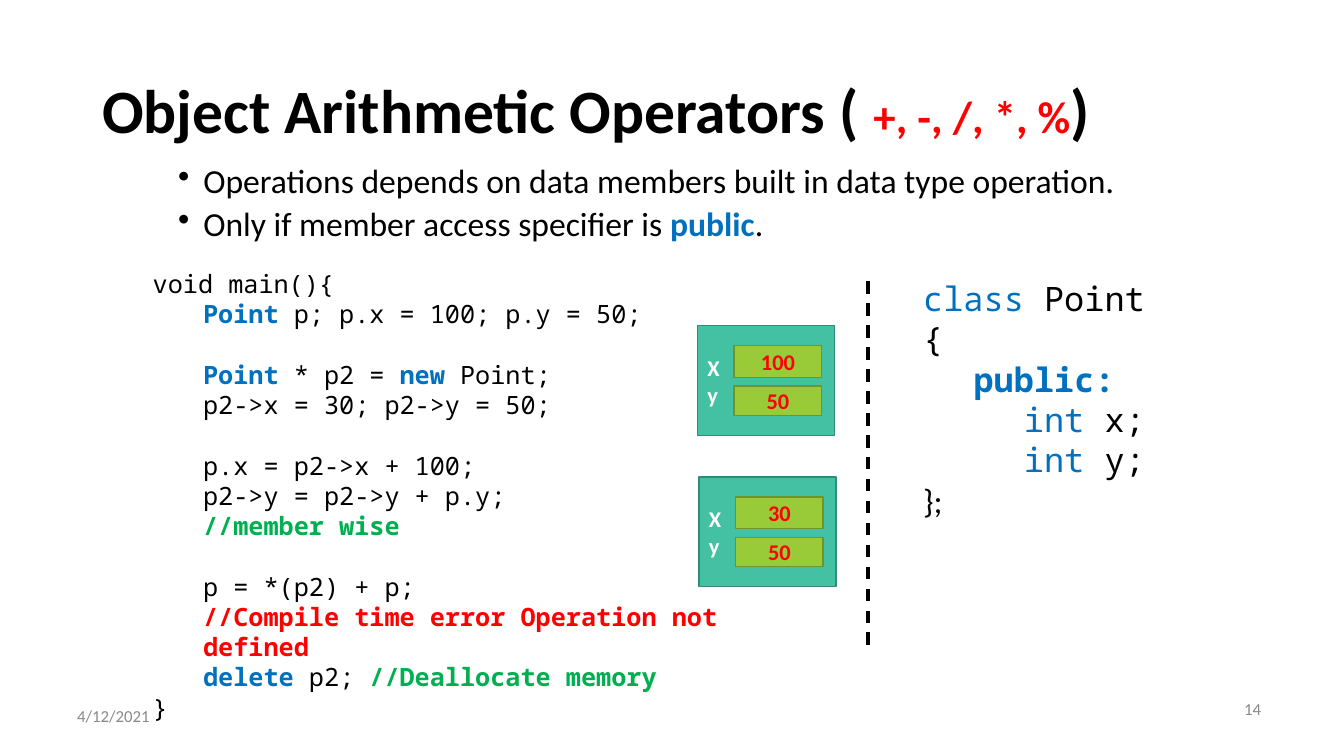
"""Builds the slide on arithmetic operators for objects."""
from dataclasses import dataclass

from lxml import etree
from pptx import Presentation
from pptx.dml.color import RGBColor
from pptx.enum.dml import MSO_LINE
from pptx.enum.shapes import MSO_CONNECTOR, MSO_SHAPE
from pptx.enum.text import MSO_ANCHOR, PP_ALIGN
from pptx.oxml.ns import qn
from pptx.util import Pt

LEFT, CENTER, RIGHT = PP_ALIGN.LEFT, PP_ALIGN.CENTER, PP_ALIGN.RIGHT
TOP, MIDDLE = MSO_ANCHOR.TOP, MSO_ANCHOR.MIDDLE
DASH, STRAIGHT, RECTANGLE = MSO_LINE.DASH, MSO_CONNECTOR.STRAIGHT, MSO_SHAPE.RECTANGLE


@dataclass(frozen=True)
class Theme:
    """Holds the colours, fonts and type sizes."""
    black: str = "000000"
    white: str = "FFFFFF"
    grey: str = "888888"
    red: str = "FF0000"
    blue: str = "0070C0"
    green: str = "00B050"
    object_fill: str = "44C1A3"
    object_line: str = "318C76"
    field_fill: str = "99CB38"
    field_line: str = "6F9428"
    body_font: str = "Calibri"
    code_font: str = "Noto Sans Mono"
    title_size: float = 44
    heading_size: float = 32
    body_size: float = 24
    code_size: float = 18
    label_size: float = 16
    footer_size: float = 12


THEME = Theme()


def write(paragraph, text, *, size, color=THEME.black, bold=False, font=THEME.body_font):
    """Adds one formatted run to a paragraph."""
    run = paragraph.add_run()
    run.text = text
    run.font.name = font
    run.font.size = Pt(size)
    run.font.bold = bold
    run.font.color.rgb = RGBColor.from_string(color)


class SlideBuilder:
    """Draws each kind of element on the current slide."""

    def __init__(self, slide, theme):
        """Keeps the slide and the theme."""
        self.slide = slide
        self.theme = theme

    def fill_frame(self, frame, lines, *, anchor=TOP, **style):
        """Writes one paragraph for each line into a text frame."""
        frame.word_wrap = True
        frame.vertical_anchor = anchor
        for index, line in enumerate(lines):
            paragraph = frame.paragraphs[0] if index == 0 else frame.add_paragraph()
            self.fill_paragraph(paragraph, *line, **style)

    def fill_paragraph(self, paragraph, runs, indent=0, gap=0, *, align=LEFT,
                       spacing=None, bullet=None, **style):
        """Sets the layout of a paragraph and writes its runs."""
        paragraph.alignment = align
        paragraph.line_spacing = spacing
        if gap:
            paragraph.space_before = Pt(gap)
        properties = paragraph._p.get_or_add_pPr()
        properties.set("marL", str(Pt(indent)))
        properties.set("indent", str(Pt(-18 if bullet else 0)))
        if bullet:
            etree.SubElement(properties, qn("a:buChar")).set("char", bullet)
        for text, changes in runs:
            write(paragraph, text, **{**style, **changes})

    def text(self, left, top, width, height, lines, **style):
        """Adds a text box."""
        box = self.slide.shapes.add_textbox(Pt(left), Pt(top), Pt(width), Pt(height))
        self.fill_frame(box.text_frame, lines, **style)

    def rectangle(self, shapes, left, top, width, height, fill, outline, lines, **style):
        """Adds a filled rectangle with a label."""
        shape = shapes.add_shape(RECTANGLE, Pt(left), Pt(top), Pt(width), Pt(height))
        shape.shadow.inherit = False
        shape.fill.solid()
        shape.fill.fore_color.rgb = RGBColor.from_string(fill)
        shape.line.color.rgb = RGBColor.from_string(outline)
        shape.line.width = Pt(1)
        self.fill_frame(shape.text_frame, lines, anchor=MIDDLE, bold=True,
                        size=self.theme.label_size, **style)

    def point_object(self, left, top, x_value, y_value):
        """Adds a grouped Point object with its two fields."""
        theme = self.theme
        shapes = self.slide.shapes.add_group_shape().shapes
        self.rectangle(shapes, left, top, 98, 78.5, theme.object_fill, theme.object_line,
                       [([("X", {})],), ([("y", {})],)], color=theme.white)
        for value, offset, height in ((x_value, 14.4, 22.5), (y_value, 43.2, 21)):
            self.rectangle(shapes, left + 26.2, top + offset, 62.6, height,
                           theme.field_fill, theme.field_line,
                           [([(value, {})],)], color=theme.red, align=CENTER)

    def dashed_line(self, x, top, bottom):
        """Adds a vertical dashed line."""
        line = self.slide.shapes.add_connector(STRAIGHT, Pt(x), Pt(top), Pt(x), Pt(bottom))
        line.line.color.rgb = RGBColor.from_string(self.theme.black)
        line.line.width = Pt(2.25)
        line.line.dash_style = DASH
        etree.SubElement(line._element.spPr, qn("a:effectLst"))


def main():
    """Builds and saves the presentation."""
    presentation = Presentation()
    presentation.slide_width, presentation.slide_height = Pt(960), Pt(540)
    slide = presentation.slides.add_slide(presentation.slide_layouts[6])
    builder = SlideBuilder(slide, THEME)
    plain = {}
    blue = {"color": THEME.blue}
    keyword = {"color": THEME.blue, "bold": True}
    comment = {"color": THEME.green, "bold": True}
    error = {"color": THEME.red, "bold": True}
    tab, blank_line = 36, 21.7

    builder.text(66, 28.8, 828, 104.4, [([
        ("Object Arithmetic Operators ( ", plain),
        ("+, -, /, *, %", {"color": THEME.red, "size": THEME.heading_size}),
        (")", plain)],)],
        anchor=MIDDLE, spacing=0.9, size=THEME.title_size, bold=True)
    for left, top, label, align in ((48, 496.8, "4/12/2021", LEFT), (692, 491.8, "14", RIGHT)):
        builder.text(left, top, 216, 28.8, [([(label, plain)],)], anchor=MIDDLE,
                     align=align, size=THEME.footer_size, color=THEME.grey)

    builder.text(102, 188, 499, 312.5, [
        ([("void main(){", plain)],),
        ([("Point", keyword), (" p; p.x = 100; p.y = 50;", plain)], tab),
        ([("Point", keyword), (" * p2 = ", plain), ("new", keyword), (" Point;", plain)],
         tab, blank_line),
        ([("p2->x = 30; p2->y = 50;", plain)], tab),
        ([("p.x = p2->x + 100;", plain)], tab, blank_line),
        ([("p2->y = p2->y + p.y;", plain)], tab),
        ([("//member wise", comment)], tab),
        ([("p = *(p2) + p;", plain)], tab, blank_line),
        ([("//Compile time error Operation not defined", error)], tab),
        ([("delete", keyword), (" p2; ", plain), ("//Deallocate memory", comment)], tab),
        ([("}", plain)],),
    ], size=THEME.code_size, font=THEME.code_font)

    builder.text(652.3, 195, 196.6, 181.4, [
        ([("class", blue), (" Point", plain)],),
        ([("{", plain)],),
        ([("public:", keyword)], tab),
        ([("int ", blue), ("x;", plain)], 2 * tab),
        ([("int ", blue), ("y;", plain)], 2 * tab),
        ([("};", {"font": THEME.body_font})],),
    ], size=THEME.body_size, font=THEME.code_font)

    builder.dashed_line(620, 201, 464.4)
    builder.point_object(498.2, 232.6, "100", "50")
    builder.text(84.2, 113.8, 844.6, 378, [
        ([("Operations depends on data members built in data type operation.", plain)], 54),
        ([("Only if member access specifier is ", plain), ("public", keyword), (".", plain)],
         54, 5),
    ], size=THEME.body_size, spacing=0.9, bullet="•")
    builder.point_object(499.2, 340.6, "30", "50")
    presentation.save("out.pptx")


if __name__ == "__main__":
    main()
